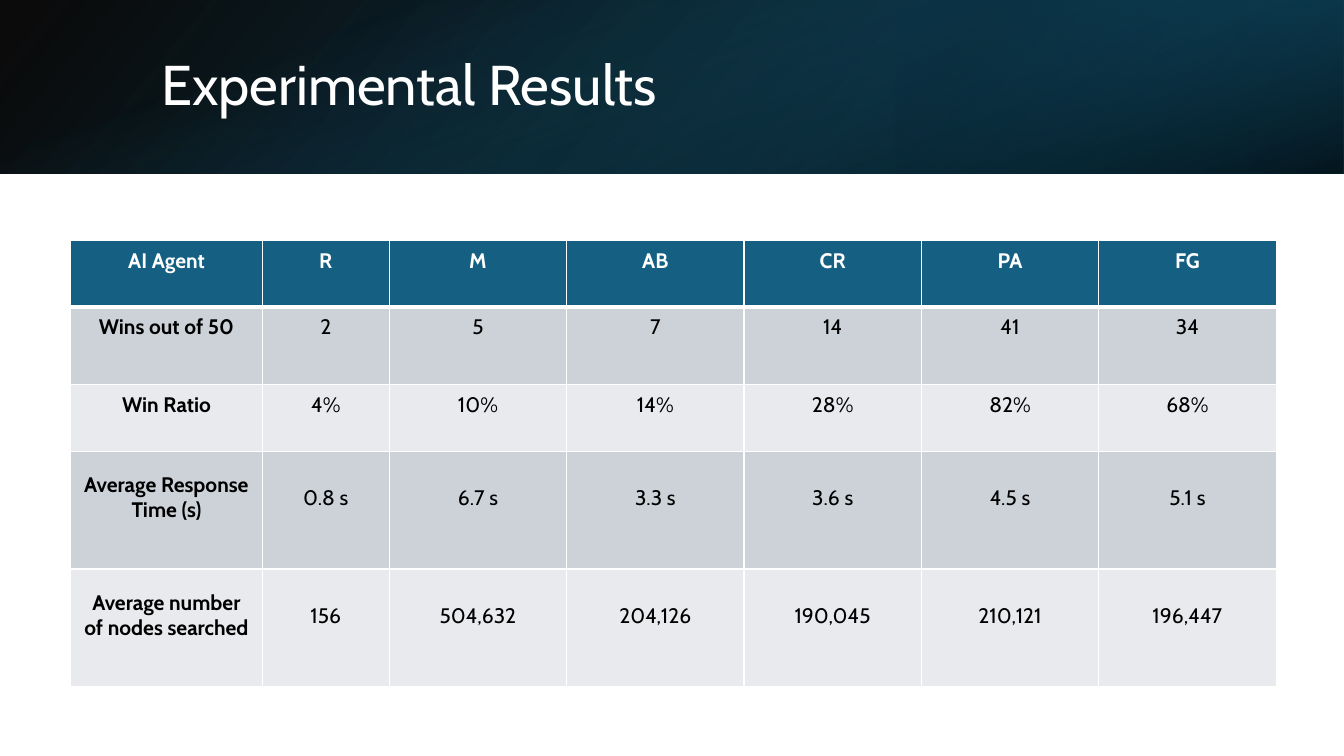
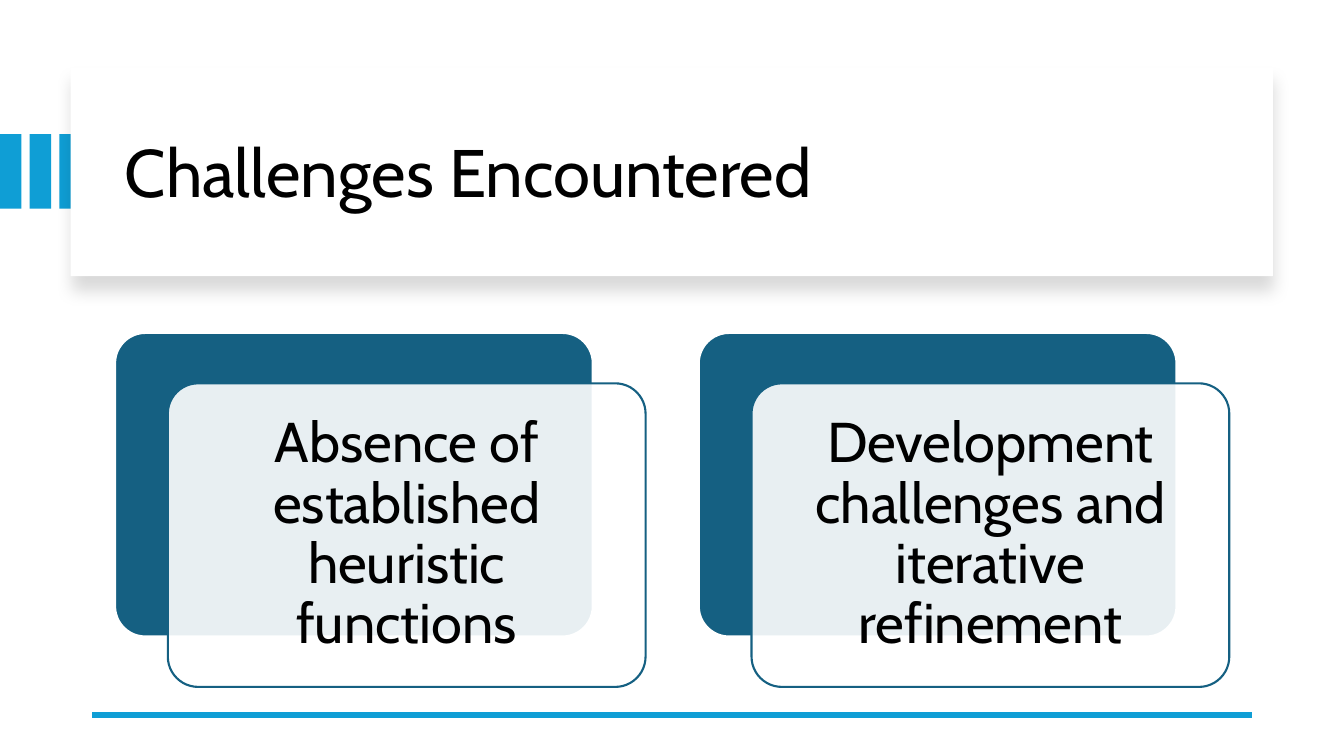
from lxml.etree import SubElement
from pptx import Presentation
from pptx.dml.color import RGBColor
from pptx.enum.shapes import MSO_CONNECTOR, MSO_SHAPE
from pptx.enum.text import MSO_ANCHOR, PP_ALIGN
from pptx.oxml.ns import qn
from pptx.util import Cm, Pt

FONT = "Cabin"
BLACK = RGBColor(0x00, 0x00, 0x00)
WHITE = RGBColor(0xFF, 0xFF, 0xFF)
TEAL = RGBColor(0x15, 0x60, 0x82)
DARK_TEAL = RGBColor(0x10, 0x48, 0x62)
DEEP_TEAL = RGBColor(0x0B, 0x30, 0x41)
SKY = RGBColor(0x0F, 0x9E, 0xD5)
GREY = RGBColor(0xCC, 0xD2, 0xD8)
PALE_GREY = RGBColor(0xE8, 0xEA, 0xED)

PAGE_WIDTH, PAGE_HEIGHT = 33.87, 19.05
BAND_HEIGHT = 4.37
COLUMN_WIDTHS = [4.83, 3.2] + [4.47] * 5
ROW_HEIGHTS = [1.68, 1.96, 1.68, 2.97, 2.97]
BOTTOM_MARGINS = [0.76, 1.09, 0.76, 0.76, 0.76]
RESULTS = [
    ["AI Agent", "R", "M", "AB", "CR", "PA", "FG"],
    ["Wins out of 50", "2", "5", "7", "14", "41", "34"],
    ["Win Ratio", "4%", "10%", "14%", "28%", "82%", "68%"],
    ["Average Response Time (s)", "0.8 s", "6.7 s", "3.3 s", "3.6 s", "4.5 s", "5.1 s"],
    ["Average number of nodes searched", "156", "504,632", "204,126", "190,045",
     "210,121", "196,447"],
]
CHALLENGES = [
    "Absence of established heuristic functions",
    "Development challenges and iterative refinement",
]


def add_color(parent, color, alpha=100):
    node = SubElement(parent, qn("a:srgbClr"), val=str(color))
    SubElement(node, qn("a:alpha"), val=str(alpha * 1000))


def write_text(frame, text, size, color, bold=False, align=PP_ALIGN.LEFT, spacing=None):
    frame.word_wrap = True
    frame.vertical_anchor = MSO_ANCHOR.MIDDLE
    frame.text = text
    para = frame.paragraphs[0]
    para.alignment = align
    para.line_spacing = spacing
    font = para.runs[0].font
    font.name = FONT
    font.size = Pt(size)
    font.bold = bold
    font.color.rgb = color


def add_title(page, text, left, top, width, height, size, color):
    box = page.shapes.add_textbox(Cm(left), Cm(top), Cm(width), Cm(height))
    write_text(box.text_frame, text, size, color, spacing=0.9)


def add_block(page, left, top, width, height, fill=None, line=None, kind=MSO_SHAPE.RECTANGLE):
    block = page.shapes.add_shape(kind, Cm(left), Cm(top), Cm(width), Cm(height))
    block.shadow.inherit = False
    if fill is not None:
        block.fill.solid()
        block.fill.fore_color.rgb = fill
    if line is None:
        block.line.fill.background()
    else:
        block.line.color.rgb = line
        block.line.width = Pt(1.5)
    return block


def add_gradient_block(page, left, top, width, height, stops, angle, rotation=0, flipped=False):
    block = add_block(page, left, top, width, height)
    block.rotation = rotation
    properties = block.element.spPr
    if flipped:
        properties.find(qn("a:xfrm")).set("flipH", "1")
    gradient = SubElement(properties, qn("a:gradFill"), rotWithShape="1")
    stop_list = SubElement(gradient, qn("a:gsLst"))
    for position, color, alpha in stops:
        stop = SubElement(stop_list, qn("a:gs"), pos=str(position * 1000))
        add_color(stop, color, alpha)
    SubElement(gradient, qn("a:lin"), ang=str(angle * 60000), scaled="0")
    properties.find(qn("a:prstGeom")).addnext(gradient)


def add_header_band(page):
    add_gradient_block(page, 0, 0, PAGE_WIDTH, BAND_HEIGHT,
                       [(0, BLACK, 96), (100, DARK_TEAL, 100)], 140, flipped=True)
    add_gradient_block(page, PAGE_WIDTH * 2 / 3, 0, PAGE_WIDTH / 3, BAND_HEIGHT,
                       [(19, DEEP_TEAL, 68), (100, TEAL, 79)], 320, 180, flipped=True)
    offset = (PAGE_WIDTH - BAND_HEIGHT) / 2
    add_gradient_block(page, offset, -offset, BAND_HEIGHT, PAGE_WIDTH,
                       [(23, TEAL, 0), (99, BLACK, 74)], 340, 90)


def set_borders(cell, widths):
    properties = cell._tc.get_or_add_tcPr()
    for side, width in widths.items():
        border = SubElement(properties, qn(f"a:ln{side}"), w=str(Pt(width)))
        add_color(SubElement(border, qn("a:solidFill")), WHITE)


def add_results_table(page):
    frame = page.shapes.add_table(len(RESULTS), len(COLUMN_WIDTHS), Cm(1.78), Cm(6.05),
                                  Cm(sum(COLUMN_WIDTHS)), Cm(sum(ROW_HEIGHTS)))
    table = frame.table
    table.horz_banding = False
    for column, width in zip(table.columns, COLUMN_WIDTHS):
        column.width = Cm(width)
    for index, values in enumerate(RESULTS):
        table.rows[index].height = Cm(ROW_HEIGHTS[index])
        header = index == 0
        fill = TEAL if header else (GREY if index % 2 else PALE_GREY)
        widths = {"L": 1, "R": 1, "T": 3 if index == 1 else 1, "B": 3 if header else 1}
        for position, value in enumerate(values):
            cell = table.cell(index, position)
            set_borders(cell, widths)
            cell.fill.solid()
            cell.fill.fore_color.rgb = fill
            cell.margin_left = cell.margin_right = Cm(0.28)
            cell.margin_top = Cm(0.13)
            cell.margin_bottom = Cm(BOTTOM_MARGINS[index])
            write_text(cell.text_frame, value, 15, WHITE if header else BLACK,
                       header or position == 0, PP_ALIGN.CENTER)
            cell.vertical_anchor = MSO_ANCHOR.MIDDLE


def add_shadow(block):
    effects = block.element.spPr.find(qn("a:effectLst"))
    shadow = SubElement(effects, qn("a:outerShdw"), blurRad=str(Pt(11)), dist=str(Pt(10)),
                        dir=str(90 * 60000), algn="t", rotWithShape="0")
    add_color(shadow, BLACK, 15)


def add_title_panel(page):
    for index in range(3):
        add_block(page, index * 0.75, 3.38, 0.54, 1.88, SKY)
    add_shadow(add_block(page, 1.78, 1.7, 30.3, 5.26, WHITE))


def add_rule(page):
    rule = page.shapes.add_connector(MSO_CONNECTOR.STRAIGHT, Cm(31.55), Cm(18.01),
                                     Cm(2.33), Cm(18.01))
    rule.line.color.rgb = SKY
    rule.line.width = Pt(4.5)
    SubElement(rule.element.spPr, qn("a:effectLst"))


def add_card(page, left, text):
    top, width, height = 8.39, 12.04, 7.65
    shift_right, shift_down = 1.33, 1.27
    rounded = MSO_SHAPE.ROUNDED_RECTANGLE
    back = add_block(page, left, top, width, height, TEAL, WHITE, rounded)
    front = add_block(page, left + shift_right, top + shift_down, width, height,
                      WHITE, TEAL, rounded)
    back.adjustments[0] = front.adjustments[0] = 0.1
    color = front.element.spPr.find(qn("a:solidFill")).find(qn("a:srgbClr"))
    SubElement(color, qn("a:alpha"), val="90000")
    frame = front.text_frame
    frame.margin_left = frame.margin_right = Cm(0.43)
    frame.margin_top = frame.margin_bottom = Cm(0.43)
    write_text(frame, text, 40, BLACK, align=PP_ALIGN.CENTER, spacing=0.9)


def main():
    deck = Presentation()
    deck.slide_width, deck.slide_height = Cm(PAGE_WIDTH), Cm(PAGE_HEIGHT)
    blank = deck.slide_layouts[6]

    page = deck.slides.add_slide(blank)
    add_header_band(page)
    add_title(page, "Experimental Results", 3.81, 0.97, 27.89, 2.44, 40, WHITE)
    add_results_table(page)

    page = deck.slides.add_slide(blank)
    add_title_panel(page)
    add_title(page, "Challenges Encountered", 2.9, 2.26, 28.27, 4.32, 48, BLACK)
    add_rule(page)
    for index, text in enumerate(CHALLENGES):
        add_card(page, 2.9 + index * 14.71, text)

    deck.save("out.pptx")


if __name__ == "__main__":
    main()
